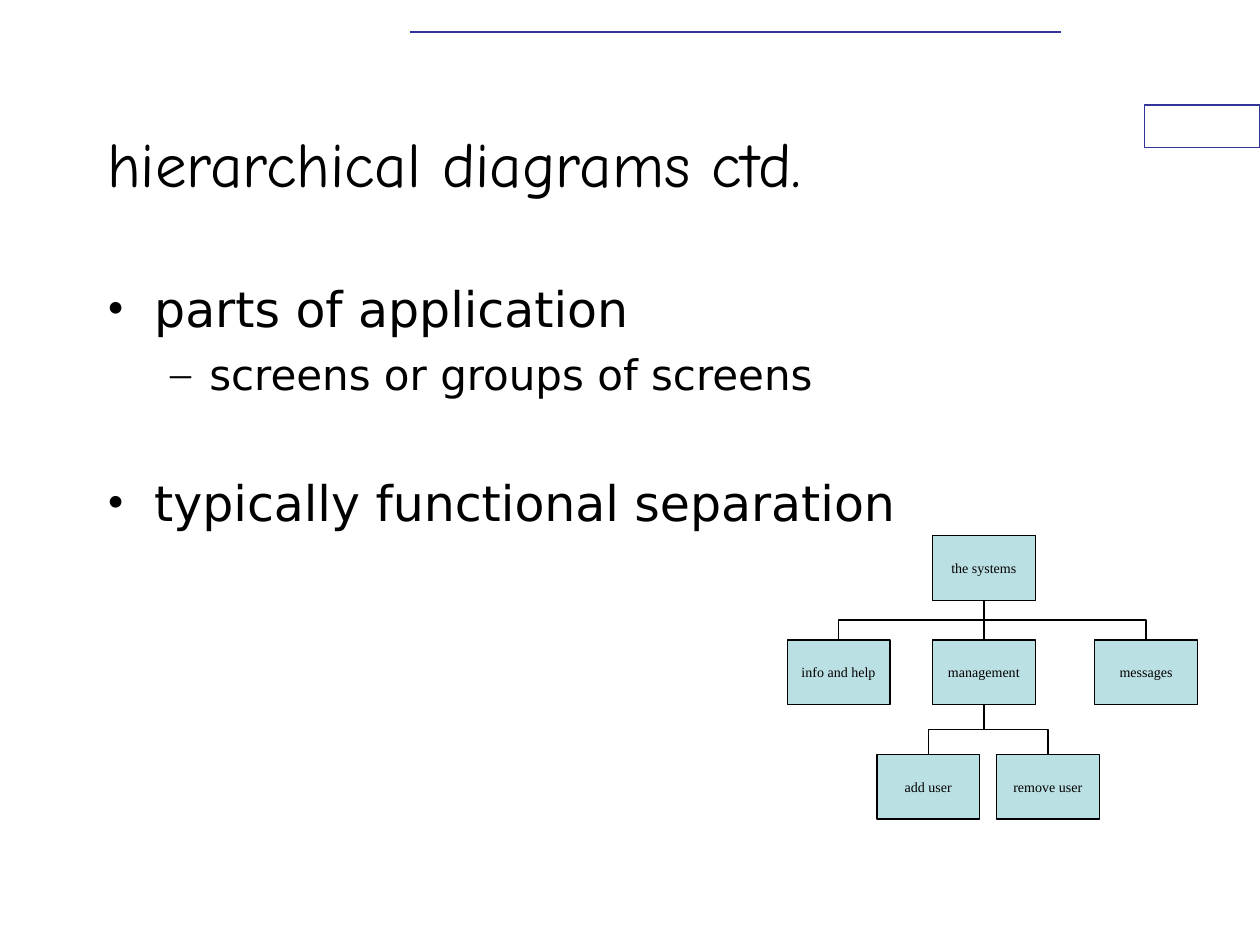
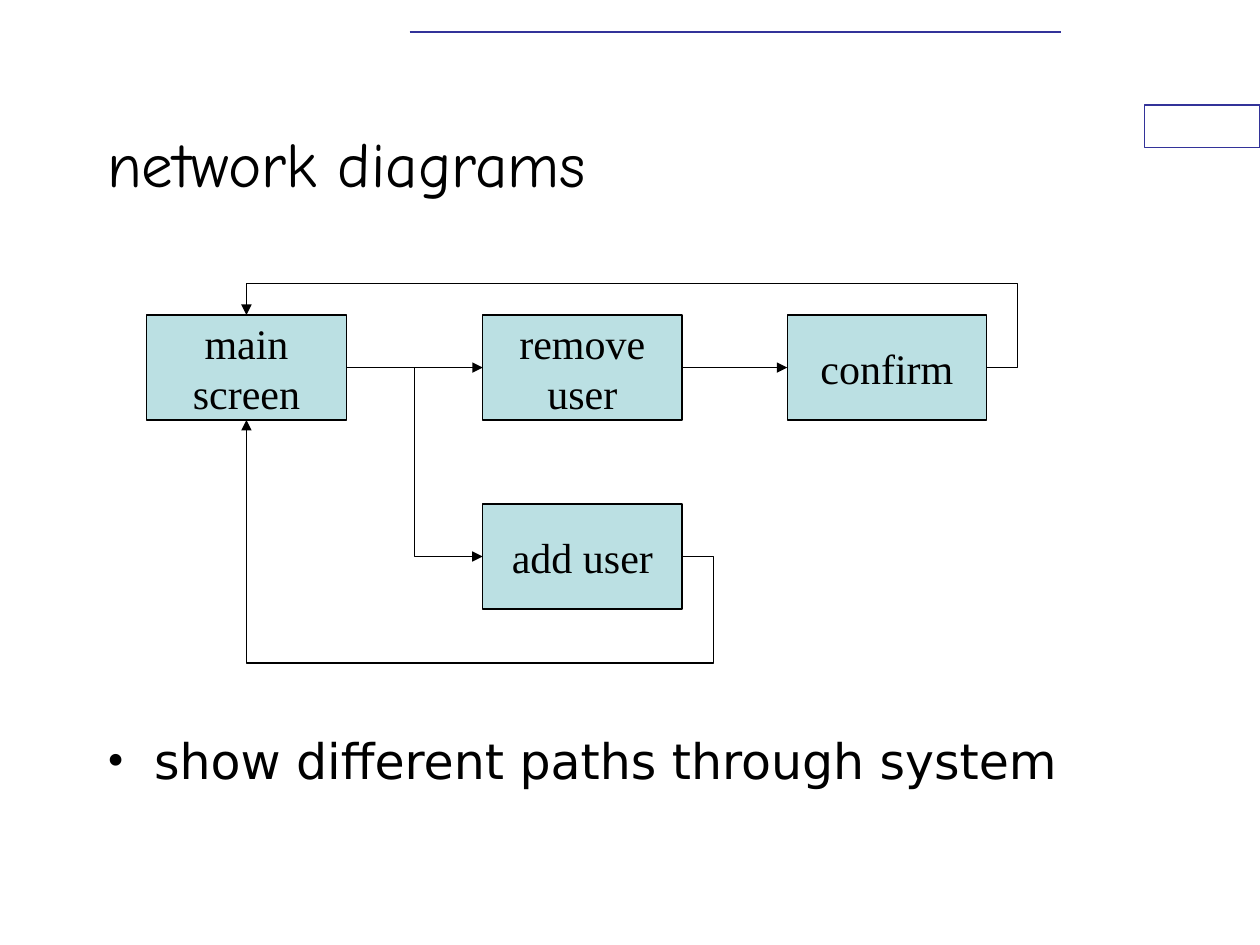
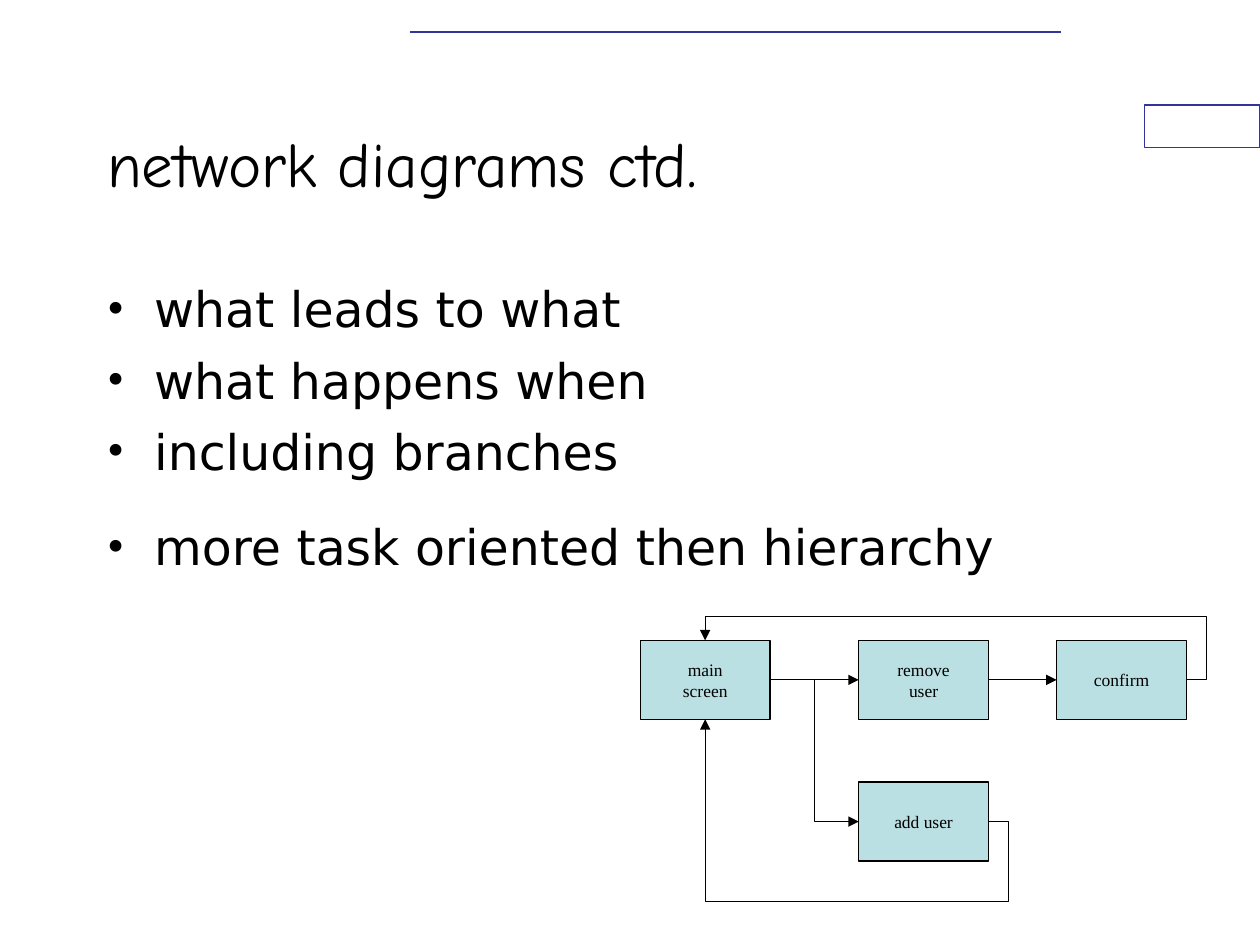
from dataclasses import dataclass

from lxml import etree
from pptx import Presentation
from pptx import util as u
from pptx.dml.color import RGBColor
from pptx.enum import shapes, text
from pptx.oxml.ns import qn
from pptx.util import Cm


@dataclass(frozen=True)
class Theme:
    ink: str = "000000"
    paper: str = "FFFFFF"
    accent: str = "333399"
    node: str = "BBE0E3"
    title_font: str = "Comic Neue"
    body_font: str = "DejaVu Sans"
    bullet_font: str = "Times New Roman"
    node_font: str = "Times New Roman"
    title_size: int = 36
    body_sizes: tuple = (28, 24)
    tree_size: int = 8
    network_size: int = 24
    small_network_size: int = 10
    hairline: float = 0.75
    rule: float = 1


THEME = Theme()

# Bullet character, left indent and hanging indent (cm), space before (pt)
BULLETS = (("•", 0.95, 0.95, 7), ("–", 2.06, 0.79, 6))


def add_xml(parent, tag, **attributes):
    values = {name: str(value) for name, value in attributes.items()}
    return etree.SubElement(parent, qn(tag), values)


def write(paragraph, words, *, font, size, color=THEME.ink, align=None, before=None):
    run = paragraph.add_run()
    run.text = words
    run.font.name = font
    run.font.size = u.Pt(size)
    run.font.color.rgb = RGBColor.from_string(color)
    if align is not None:
        paragraph.alignment = align
    if before is not None:
        paragraph.space_before = u.Pt(before)


def text_area(slide, left, top, width, height, anchor):
    frame = slide.shapes.add_textbox(Cm(left), Cm(top), Cm(width), Cm(height)).text_frame
    frame.word_wrap = True
    frame.vertical_anchor = anchor
    return frame


def paragraphs(frame, count):
    """Yield the first paragraph of the frame, then new ones."""
    yield frame.paragraphs[0]
    for _ in range(count - 1):
        yield frame.add_paragraph()


def panel(slide, preset, box, fill, line):
    shape = slide.shapes.add_shape(preset, *map(Cm, box))
    shape.shadow.inherit = False
    shape.fill.solid()
    shape.fill.fore_color.rgb = RGBColor.from_string(fill)
    shape.line.color.rgb = RGBColor.from_string(line)
    shape.line.width = u.Pt(THEME.hairline)
    return shape


def connect(slide, start, end, *, kind=shapes.MSO_CONNECTOR.STRAIGHT,
            color=THEME.ink, width=THEME.hairline, arrow=False):
    connector = slide.shapes.add_connector(kind, *start, *end)
    connector.line.color.rgb = RGBColor.from_string(color)
    connector.line.width = u.Pt(width)
    if arrow:
        add_xml(connector.line._get_or_add_ln(), "a:tailEnd", type="triangle")
    add_xml(connector._element.spPr, "a:effectLst")
    return connector


def elbow(slide, start, end):
    """Leave sideways, turn halfway and arrive sideways."""
    connect(slide, start, end, kind=shapes.MSO_CONNECTOR.ELBOW, arrow=True)


def loop_back(slide, start, end, overshoot, detour):
    """Return to an earlier node; the turns are percentages of the width and height.

    Both are measured from the start towards the end, so a negative one turns away.
    """
    loop = connect(slide, start, end, kind=shapes.MSO_CONNECTOR.ELBOW, arrow=True)
    geometry = loop._element.spPr.find(qn("a:prstGeom"))
    geometry.set("prst", "bentConnector4")
    guides = geometry.find(qn("a:avLst"))
    for name, percent in (("adj1", overshoot), ("adj2", detour)):
        add_xml(guides, "a:gd", name=name, fmla=f"val {round(percent * 1000)}")


def branch(slide, parent, child):
    """Join the foot of a parent to the head of a child with a vertical elbow."""
    start, end = foot(parent), head(child)
    run, drop = end[0] - start[0], end[1] - start[1]
    if run == 0:
        connect(slide, start, end)
        return
    middle_x, middle_y = (start[0] + end[0]) // 2, (start[1] + end[1]) // 2
    half_drop = drop // 2 if run < 0 else -drop // 2
    half_run = abs(run) // 2
    link = connect(slide, (middle_x - half_drop, middle_y - half_run),
                   (middle_x + half_drop, middle_y + half_run),
                   kind=shapes.MSO_CONNECTOR.ELBOW)
    degrees = 90 if run < 0 else 270
    link._element.spPr.find(qn("a:xfrm")).set("rot", str(degrees * 60000))


def head(node):
    return node.left + node.width // 2, node.top


def foot(node):
    return node.left + node.width // 2, node.top + node.height


def left_side(node):
    return node.left, node.top + node.height // 2


def right_side(node):
    return node.left + node.width, node.top + node.height // 2


def add_node(slide, label, box, size):
    node = panel(slide, shapes.MSO_SHAPE.FLOWCHART_PROCESS, box, THEME.node, THEME.ink)
    frame = node.text_frame
    frame.word_wrap = False
    frame.vertical_anchor = text.MSO_ANCHOR.MIDDLE
    lines = label.split("\n")
    for paragraph, words in zip(paragraphs(frame, len(lines)), lines):
        write(paragraph, words, font=THEME.node_font, size=size,
              align=text.PP_ALIGN.CENTER)
    return node


def add_bullets(slide, items, top=5.5, height=11.43):
    """Each item is its words, its level and any extra space before it."""
    frame = text_area(slide, 1.91, top, 21.59, height, text.MSO_ANCHOR.TOP)
    for paragraph, (words, level, gap) in zip(paragraphs(frame, len(items)), items):
        mark, indent, hanging, before = BULLETS[level]
        write(paragraph, words, font=THEME.body_font, size=THEME.body_sizes[level],
              before=before + gap)
        properties = paragraph._p.get_or_add_pPr()
        properties.set("marL", str(Cm(indent)))
        properties.set("indent", str(-Cm(hanging)))
        add_xml(properties, "a:buFont", typeface=THEME.bullet_font)
        add_xml(properties, "a:buChar", char=mark)


def add_page(deck, title):
    slide = deck.slides.add_slide(deck.slide_layouts[6])
    panel(slide, shapes.MSO_SHAPE.RECTANGLE, (23.07, 2.12, 2.33, 0.85),
          THEME.paper, THEME.accent)
    connect(slide, (Cm(8.26), Cm(0.64)), (Cm(21.38), Cm(0.64)),
            color=THEME.accent, width=THEME.rule)
    frame = text_area(slide, 1.91, 1.69, 19.05, 3.18, text.MSO_ANCHOR.MIDDLE)
    write(frame.paragraphs[0], title, font=THEME.title_font, size=THEME.title_size)
    return slide


def add_hierarchy(slide):
    def place(label, left, top):
        return add_node(slide, label, (left, top, 2.07, 1.3), THEME.tree_size)

    systems = place("the systems", 18.8, 10.8)
    info = place("info and help", 15.87, 12.9)
    management = place("management", 18.8, 12.9)
    messages = place("messages", 22.07, 12.9)
    add_user = place("add user", 17.68, 15.21)
    remove_user = place("remove user", 20.09, 15.21)
    for parent, children in ((systems, (info, messages, management)),
                             (management, (add_user, remove_user))):
        for child in children:
            branch(slide, parent, child)


def add_network(slide, left, top, size, scale_x=1.0, scale_y=1.0):
    def place(label, across, down):
        box = (left + across * scale_x, top + down * scale_y,
               4.02 * scale_x, 2.12 * scale_y)
        return add_node(slide, label, box, size)

    main_screen = place("main\nscreen", 0, 0)
    remove_user = place("remove\nuser", 6.77, 0)
    confirm = place("confirm", 12.91, 0)
    add_user = place("add user", 6.77, 3.81)
    connect(slide, right_side(main_screen), left_side(remove_user), arrow=True)
    elbow(slide, right_side(main_screen), left_side(add_user))
    connect(slide, right_side(remove_user), left_side(confirm), arrow=True)
    loop_back(slide, right_side(confirm), head(main_screen), -4.2, 160)
    loop_back(slide, right_side(add_user), foot(main_screen), -7.2, -78)


def main():
    deck = Presentation()
    deck.slide_width, deck.slide_height = Cm(25.4), Cm(19.05)

    hierarchy = add_page(deck, "hierarchical diagrams ctd.")
    add_bullets(hierarchy, [("parts of application", 0, 0),
                            ("screens or groups of screens", 1, 0),
                            ("typically functional separation", 0, 35)])
    add_hierarchy(hierarchy)

    network = add_page(deck, "network diagrams")
    add_bullets(network, [("show different paths through system", 0, 0)],
                top=14.61, height=2.33)
    add_network(network, 2.96, 6.35, THEME.network_size)

    features = add_page(deck, "network diagrams ctd.")
    add_bullets(features, [("what leads to what", 0, 0),
                           ("what happens when", 0, 0),
                           ("including branches", 0, 0),
                           ("more task oriented then hierarchy", 0, 14)])
    add_network(features, 12.91, 12.91, THEME.small_network_size, 0.65, 0.75)

    deck.save("out.pptx")


if __name__ == "__main__":
    main()
